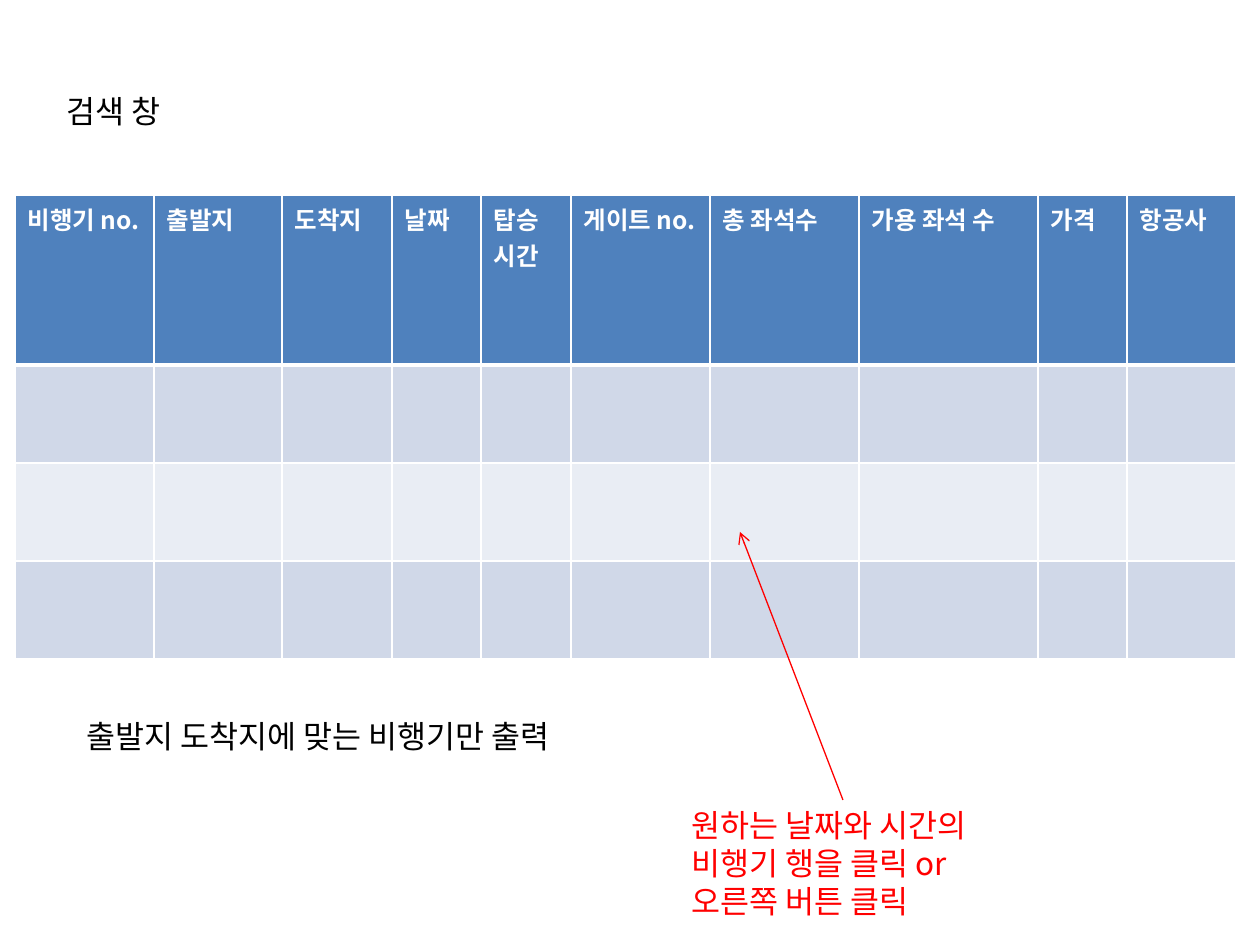
from lxml.etree import SubElement
from pptx import Presentation
from pptx.dml.color import RGBColor
from pptx.enum.shapes import MSO_CONNECTOR
from pptx.enum.text import MSO_ANCHOR, MSO_AUTO_SIZE, PP_ALIGN
from pptx.oxml.ns import qn
from pptx.util import Emu, Pt

PX_PER_INCH = 126
FONT = "Noto Sans CJK KR"
BLACK = RGBColor(0x00, 0x00, 0x00)
WHITE = RGBColor(0xFF, 0xFF, 0xFF)
RED = RGBColor(0xFF, 0x00, 0x00)
HEADER_BLUE = RGBColor(0x4F, 0x81, 0xBD)
BAND_DARK = RGBColor(0xD0, 0xD8, 0xE8)
BAND_LIGHT = RGBColor(0xE9, 0xED, 0xF4)

COLUMNS = [
    ("비행기 no.", 139), ("출발지", 128), ("도착지", 110), ("날짜", 89),
    ("탑승 시간", 90), ("게이트 no.", 139), ("총 좌석수", 149),
    ("가용 좌석 수", 179), ("가격", 89), ("항공사", 109),
]
ROW_HEIGHTS = [170, 98, 98, 98]


def px(length):
    return Emu(round(length * 914400 / PX_PER_INCH))


def format_text(frame, size, color, bold=False):
    for para in frame.paragraphs:
        para.alignment = PP_ALIGN.LEFT
        for span in para.runs:
            span.font.size = Pt(size)
            span.font.bold = bold
            span.font.color.rgb = color
            span.font.name = FONT
            SubElement(span.font._element, qn("a:ea"), typeface=FONT)


def fill_text_box(box, text, color):
    frame = box.text_frame
    frame.text = text
    frame.word_wrap = True
    frame.auto_size = MSO_AUTO_SIZE.SHAPE_TO_FIT_TEXT
    frame.vertical_anchor = MSO_ANCHOR.TOP
    format_text(frame, 18, color)


def add_title(slide, text, left, top, width, height):
    title = slide.shapes.title
    title.left, title.top = px(left), px(top)
    title.width, title.height = px(width), px(height)
    fill_text_box(title, text, BLACK)


def add_note(slide, text, left, top, width, height, color):
    box = slide.shapes.add_textbox(px(left), px(top), px(width), px(height))
    fill_text_box(box, text, color)


def set_borders(cell, bottom_width):
    """Draw white borders, one point wide except at the bottom."""
    properties = cell._tc.get_or_add_tcPr()
    widths = {"a:lnL": 1, "a:lnR": 1, "a:lnT": 1, "a:lnB": bottom_width}
    for index, (tag, width) in enumerate(widths.items()):
        line = SubElement(properties, qn(tag), w=str(Pt(width)))
        fill = SubElement(line, qn("a:solidFill"))
        SubElement(fill, qn("a:srgbClr"), val=str(WHITE))
        properties.insert(index, line)


def add_flight_table(slide, left, top):
    width = sum(column_width for _, column_width in COLUMNS)
    table = slide.shapes.add_table(
        len(ROW_HEIGHTS), len(COLUMNS),
        px(left), px(top), px(width), px(sum(ROW_HEIGHTS))).table
    for column, (heading, column_width) in enumerate(COLUMNS):
        table.columns[column].width = px(column_width)
        header = table.cell(0, column)
        header.text_frame.text = heading
        format_text(header.text_frame, 14, WHITE, bold=True)
    row_fills = [HEADER_BLUE, BAND_DARK, BAND_LIGHT, BAND_DARK]
    for row, (height, color) in enumerate(zip(ROW_HEIGHTS, row_fills)):
        table.rows[row].height = px(height)
        for cell in table.rows[row].cells:
            cell.fill.solid()
            cell.fill.fore_color.rgb = color
            set_borders(cell, 3 if row == 0 else 1)
            if row == 1:
                # the shared edge below the header keeps the header's weight
                cell._tc.tcPr.find(qn("a:lnT")).set("w", str(Pt(3)))


def add_arrow(slide, start, end, color):
    arrow = slide.shapes.add_connector(
        MSO_CONNECTOR.STRAIGHT, *map(px, start + end))
    arrow.line.color.rgb = color
    arrow.line.width = Pt(0.75)
    SubElement(arrow.line._get_or_add_ln(), qn("a:tailEnd"), type="arrow")
    SubElement(arrow._element.spPr, qn("a:effectLst"))


def main():
    deck = Presentation()
    deck.slide_width, deck.slide_height = px(1260), px(945)
    slide = deck.slides.add_slide(deck.slide_layouts[5])
    add_flight_table(slide, 15, 195)
    add_title(slide, "검색 창", 54, 86, 277, 50)
    add_note(slide, "출발지 도착지에 맞는 비행기만 출력", 74, 711, 655, 50, BLACK)
    add_note(slide, "원하는 날짜와 시간의 비행기 행을 클릭 or 오른쪽 버튼 클릭",
             679, 800, 328, 127, RED)
    add_arrow(slide, (843, 800), (740, 532), RED)
    deck.save("out.pptx")


if __name__ == "__main__":
    main()
